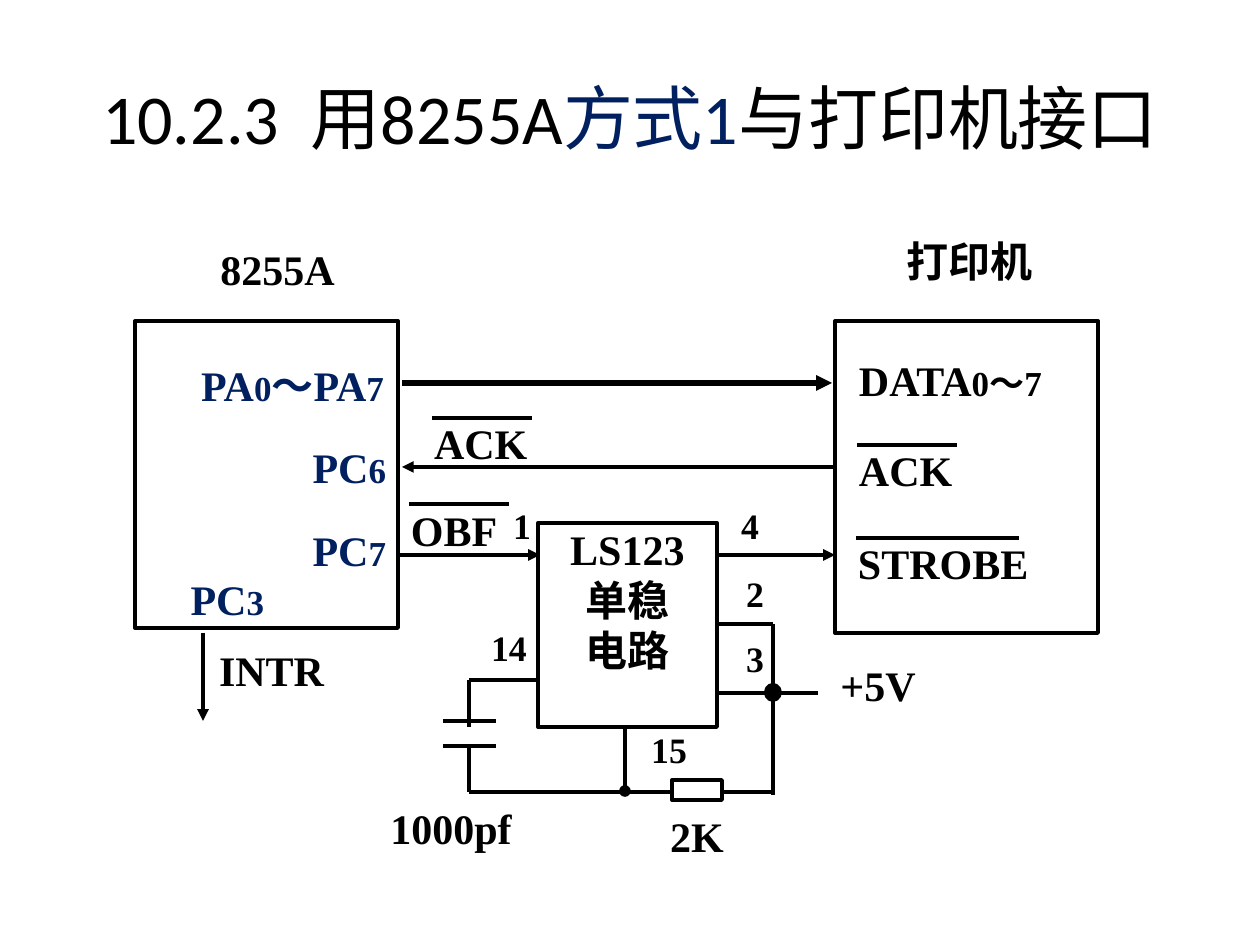
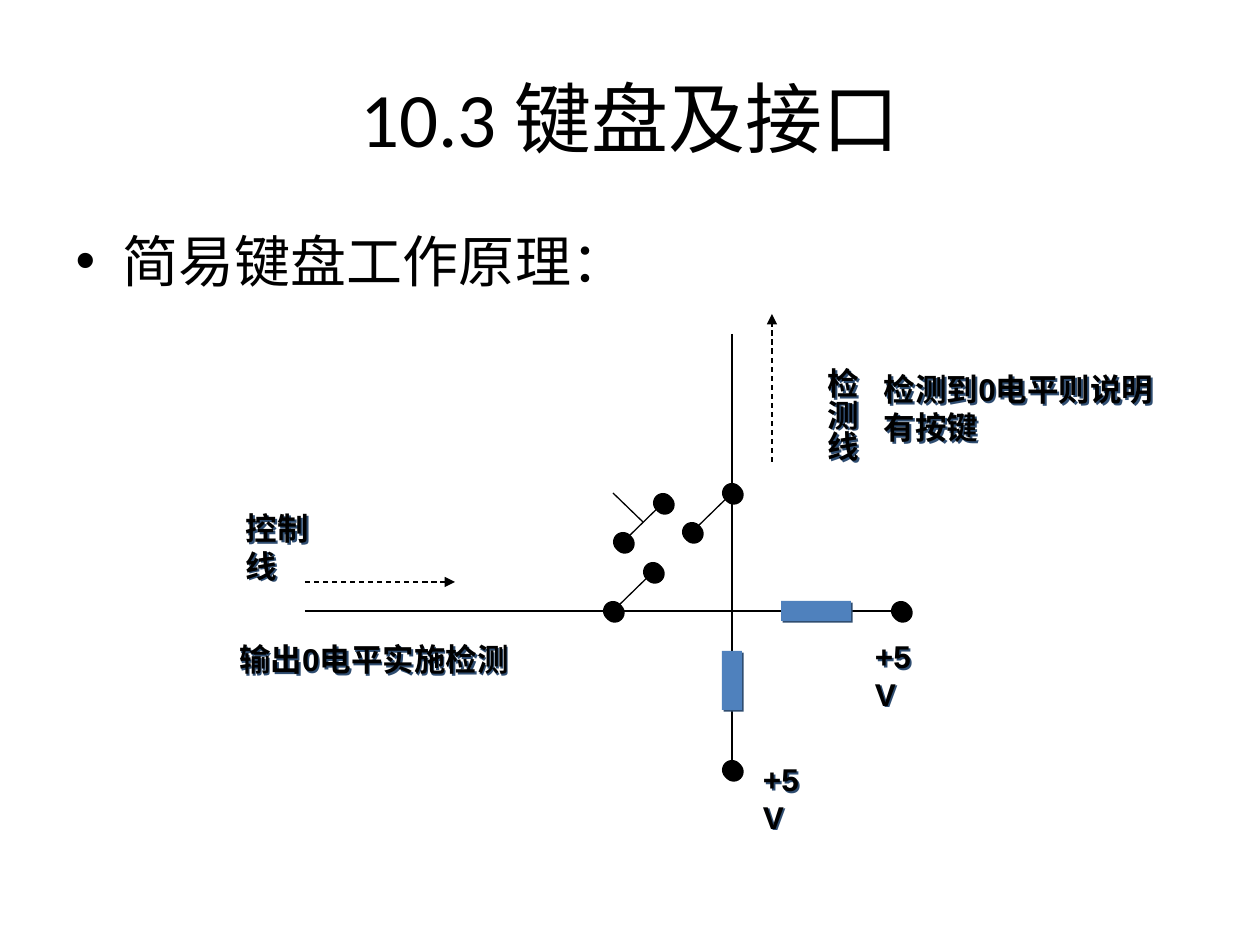
import itertools

import pptx
import pptx.dml.color
import pptx.enum.dml
import pptx.enum.shapes
import pptx.enum.text
import pptx.oxml
import pptx.oxml.ns
import pptx.util

EMU_PER_PX = 914400 // 126
BLACK, NAVY, BLUE, SHADOW_BLUE = "000000", "002060", "4F81BD", "2F4D71"
TITLE_FONT, CIRCUIT_FONT, KEYPAD_FONT = "Calibri", "Times New Roman", "Arial"
CIRCUIT_LINE, KEYPAD_LINE = 2.25, 0.75
TITLE_BOX = (63, 38, 1134, 158)
DOT = 20

ALIGN = pptx.enum.text.PP_ALIGN
ANCHOR = pptx.enum.text.MSO_ANCHOR
SHAPE = pptx.enum.shapes.MSO_SHAPE


def px(length):
    return pptx.util.Emu(length * EMU_PER_PX)


def colour(hex_string):
    return pptx.dml.color.RGBColor.from_string(hex_string)


def place(shape, box):
    shape.left, shape.top, shape.width, shape.height = map(px, box)


def format_run(run, font_name, size, ink=BLACK, bold=False):
    run.font.name = font_name
    run.font.size = pptx.util.Pt(size)
    run.font.bold = bold
    run.font.color.rgb = colour(ink)


def set_margins(frame, across, down):
    frame.margin_left = frame.margin_right = px(across)
    frame.margin_top = frame.margin_bottom = px(down)


def add_title(slide, size, *parts):
    """Fill the title with (text, colour) parts."""
    title = slide.shapes.title
    place(title, TITLE_BOX)
    frame = title.text_frame
    frame.auto_size = pptx.enum.text.MSO_AUTO_SIZE.NONE
    frame.vertical_anchor = ANCHOR.MIDDLE
    paragraph = frame.paragraphs[0]
    paragraph.alignment = ALIGN.CENTER
    for text, ink in parts:
        run = paragraph.add_run()
        run.text = text
        format_run(run, TITLE_FONT, size, ink)


def add_wire(slide, start, end, width, tip=None, dashed=False):
    """Draw a line between two points; tip is the end style, such as triangle."""
    wire = slide.shapes.add_connector(
        pptx.enum.shapes.MSO_CONNECTOR.STRAIGHT, *map(px, start + end))
    wire.line.color.rgb = colour(BLACK)
    wire.line.width = pptx.util.Pt(width)
    if dashed:
        wire.line.dash_style = pptx.enum.dml.MSO_LINE.DASH
    if tip:
        tail = pptx.oxml.parse_xml(
            f'<a:tailEnd {pptx.oxml.ns.nsdecls("a")} type="{tip}"/>')
        wire.line._get_or_add_ln().append(tail)
    wire._element.spPr.append(pptx.oxml.parse_xml(
        f'<a:effectLst {pptx.oxml.ns.nsdecls("a")}/>'))


def add_outline(slide, kind, box, fill=None):
    part = slide.shapes.add_shape(kind, *map(px, box))
    part.shadow.inherit = False
    part.line.color.rgb = colour(BLACK)
    part.line.width = pptx.util.Pt(CIRCUIT_LINE)
    if fill:
        part.fill.solid()
        part.fill.fore_color.rgb = colour(fill)
    else:
        part.fill.background()
    return part


def add_label(slide, box, *parts, align=ALIGN.LEFT, ink=BLACK):
    """Write a signal name whose parts alternate between letters and smaller digits."""
    label = slide.shapes.add_textbox(*map(px, box))
    frame = label.text_frame
    frame.word_wrap = True
    set_margins(frame, 1, 1)
    paragraph = frame.paragraphs[0]
    paragraph.alignment = align
    for text, size in zip(parts, itertools.cycle((24, 20))):
        run = paragraph.add_run()
        run.text = text
        format_run(run, CIRCUIT_FONT, size, ink, bold=True)
    return paragraph


def add_pin(slide, left, top, number):
    paragraph = add_label(slide, (left, top, 144, 47), number, align=ALIGN.CENTER)
    paragraph.line_spacing = 0.9
    paragraph.runs[0].font.size = pptx.util.Pt(20.4)


def add_active_low(slide, left, top, name, bar_length):
    """Write a signal name with a bar over it."""
    add_label(slide, (left, top, 183, 79), name)
    add_wire(slide, (left - 1, top + 1), (left - 1 + bar_length, top + 1), CIRCUIT_LINE)


def add_shadow(shape, ink):
    shape.shadow.inherit = False
    effects = shape._element.spPr.find(pptx.oxml.ns.qn("a:effectLst"))
    effects.append(pptx.oxml.parse_xml(
        f'<a:outerShdw {pptx.oxml.ns.nsdecls("a")} dist="17961" dir="2700000" algn="ctr" '
        f'rotWithShape="0"><a:srgbClr val="{ink}"/></a:outerShdw>'))


def add_solid(slide, kind, box, fill, shadow):
    part = slide.shapes.add_shape(kind, *map(px, box))
    part.fill.solid()
    part.fill.fore_color.rgb = colour(fill)
    part.line.fill.background()
    add_shadow(part, shadow)


def add_contact(slide, centre):
    x, y = centre
    box = (x - DOT // 2, y - DOT // 2, DOT, DOT)
    add_solid(slide, SHAPE.OVAL, box, BLACK, BLACK)


def add_key(slide, start, end):
    add_contact(slide, start)
    add_contact(slide, end)
    add_wire(slide, start, end, KEYPAD_LINE)


def add_note(slide, box, text, vertical=False):
    note = slide.shapes.add_textbox(*map(px, box))
    add_shadow(note, SHADOW_BLUE)
    frame = note.text_frame
    frame.word_wrap = False
    frame.auto_size = pptx.enum.text.MSO_AUTO_SIZE.SHAPE_TO_FIT_TEXT
    set_margins(frame, 13, 6)
    if vertical:
        set_margins(frame, 6, 13)
        frame._txBody.bodyPr.set("vert", "eaVert")
    frame.text = text
    for paragraph in frame.paragraphs:
        format_run(paragraph.runs[0], KEYPAD_FONT, 18, bold=True)


def build_printer_slide(deck):
    slide = deck.slides.add_slide(deck.slide_layouts[5])
    add_title(slide, 40, ("10.2.3", BLACK), (" ", BLACK), ("用8255A", BLACK),
              ("方式1", NAVY), ("与打印机接口", BLACK))
    gap = slide.shapes.title.text_frame.paragraphs[0].runs[1]
    gap.font._element.set("spc", "900")

    for box in ((135, 321, 263, 307), (835, 321, 263, 312), (672, 780, 50, 20)):
        add_outline(slide, SHAPE.RECTANGLE, box)
    add_outline(slide, SHAPE.OVAL, (766, 685, 14, 15), BLACK)

    monostable = add_outline(slide, SHAPE.RECTANGLE, (538, 523, 179, 204))
    frame = monostable.text_frame
    frame.vertical_anchor = ANCHOR.TOP
    set_margins(frame, 1, 1)
    frame.text = "LS123\n单稳\n电路"
    for paragraph in frame.paragraphs:
        paragraph.alignment = ALIGN.CENTER
        format_run(paragraph.runs[0], CIRCUIT_FONT, 24, bold=True)

    for box, text in (((166, 243, 223, 92), "8255A"), ((845, 234, 249, 92), "打印机"),
                      ((379, 801, 144, 82), "1000pf"), ((625, 810, 144, 68), "2K"),
                      ((813, 659, 130, 96), "+5V")):
        add_label(slide, box, text, align=ALIGN.CENTER)
    add_label(slide, (858, 354, 281, 79), "DATA", "0～7")
    add_label(slide, (218, 643, 183, 79), "INTR")

    add_label(slide, (147, 358, 238, 79), "PA", "0", "～PA", "7",
              align=ALIGN.RIGHT, ink=NAVY)
    for left, top, bit in ((203, 440, "6"), (203, 523, "7"), (81, 572, "3")):
        add_label(slide, (left, top, 184, 79), "PC", bit, align=ALIGN.RIGHT, ink=NAVY)

    for left, top, number in ((450, 508, "1"), (678, 508, "4"), (683, 576, "2"),
                              (683, 641, "3"), (437, 630, "14"), (597, 732, "15")):
        add_pin(slide, left, top, number)

    for left, top, name, bar_length in ((433, 417, "ACK", 100), (858, 444, "ACK", 100),
                                        (410, 503, "OBF", 100), (857, 537, "STROBE", 163)):
        add_active_low(slide, left, top, name, bar_length)

    add_wire(slide, (402, 383), (832, 383), 3, "triangle")
    for start, end in (((835, 467), (402, 467)), ((398, 555), (540, 555)),
                       ((719, 555), (835, 555)), ((203, 633), (203, 721))):
        add_wire(slide, start, end, CIRCUIT_LINE, "triangle")
    add_wire(slide, (625, 726), (625, 791), CIRCUIT_LINE, "oval")

    supply = [((719, 624), (773, 624)), ((773, 624), (773, 795)), ((717, 693), (818, 693))]
    capacitor = [((539, 680), (469, 680)), ((469, 680), (469, 727)),
                 ((443, 721), (496, 721)), ((443, 746), (496, 746)),
                 ((469, 745), (469, 792))]
    resistor = [((469, 792), (672, 792)), ((721, 792), (773, 792))]
    for start, end in supply + capacitor + resistor:
        add_wire(slide, start, end, CIRCUIT_LINE)


def build_keypad_slide(deck):
    slide = deck.slides.add_slide(deck.slide_layouts[1])
    add_title(slide, 44, ("10.3 键盘及接口", BLACK))
    principle = slide.placeholders[1]
    place(principle, (63, 220, 1134, 624))
    principle.text_frame.text = "简易键盘工作原理："
    paragraph = principle.text_frame.paragraphs[0]
    paragraph.space_before = pptx.util.Pt(0)
    format_run(paragraph.runs[0], TITLE_FONT, 32)

    control_y, detect_x = 611, 732
    add_wire(slide, (305, control_y), (891, control_y), KEYPAD_LINE)
    add_wire(slide, (detect_x, 334), (detect_x, 760), KEYPAD_LINE)
    for box in ((722, 651, 20, 59), (781, 601, 70, 20)):
        add_solid(slide, SHAPE.RECTANGLE, box, BLUE, SHADOW_BLUE)
    add_contact(slide, (detect_x, 770))
    add_contact(slide, (901, control_y))

    add_key(slide, (613, control_y), (653, 572))
    add_key(slide, (detect_x, 493), (692, 532))
    add_key(slide, (623, 542), (663, 503))
    add_wire(slide, (643, 522), (613, 493), KEYPAD_LINE)

    for start, end in (((305, 582), (455, 582)), ((772, 462), (772, 314))):
        add_wire(slide, start, end, KEYPAD_LINE, "triangle", dashed=True)

    for box, text in (((750, 754, 82, 50), "+5V"), ((862, 631, 82, 50), "+5V"),
                      ((233, 503, 120, 50), "控制线"),
                      ((226, 634, 310, 50), "输出0电平实施检测"),
                      ((871, 364, 310, 88), "检测到0电平则说明\n有按键")):
        add_note(slide, box, text)
    add_note(slide, (804, 355, 63, 107), "检测线", vertical=True)


def main():
    deck = pptx.Presentation()
    deck.slide_width = pptx.util.Inches(10)
    deck.slide_height = pptx.util.Inches(7.5)
    build_printer_slide(deck)
    build_keypad_slide(deck)
    deck.save("out.pptx")


if __name__ == "__main__":
    main()
